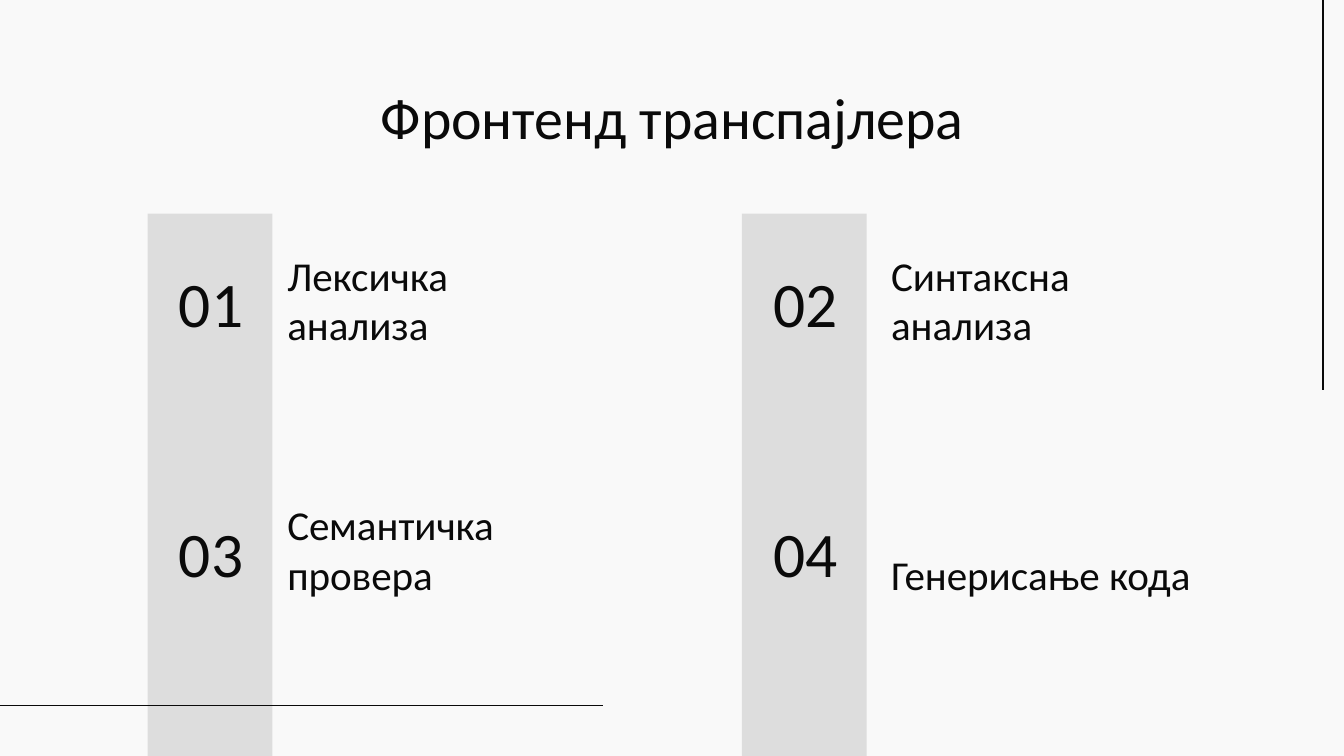
"""Build the slide that lists the four stages of the transpiler front end."""
import pptx
import pptx.dml.color
import pptx.enum.shapes
import pptx.enum.text
import pptx.oxml
import pptx.oxml.ns
import pptx.util

Cm = pptx.util.Cm
Align = pptx.enum.text.PP_ALIGN
Anchor = pptx.enum.text.MSO_ANCHOR

TITLE = "Фронтенд транспајлера"
STAGES = [
    ["Лексичка анализа", "Синтаксна анализа"],
    ["Семантичка провера", "Генерисање кода"],
]
COLOURS = {"page": "F9F9F9", "bar": "DDDDDD", "ink": "0A0A0A"}
COLUMNS = [
    {"bar": 2.79, "number": 2.77, "label": 5.18},
    {"bar": 14.02, "number": 14.0, "label": 16.59},
]
ROW_PITCH = 4.72
NUMBER_TOP, LABEL_TOP, BAR_TOP = 4.11, 4.6, 4.04
PAGE_WIDTH, PAGE_HEIGHT = 25.4, 14.29
LINES = [(25, 7.37, 25, 0), (0, 13.33, 11.4, 13.33)]
STYLES = {
    "title": {"size": 31, "align": Align.CENTER, "anchor": Anchor.TOP},
    "number": {"size": 34, "align": Align.CENTER, "anchor": Anchor.MIDDLE},
    "label": {"size": 22, "align": Align.LEFT, "anchor": Anchor.BOTTOM},
}


def colour(name):
    return pptx.dml.color.RGBColor.from_string(COLOURS[name])


def set_all(target, values):
    for name, value in values.items():
        setattr(target, name, value)


def add_bar(page, left):
    bar = page.shapes.add_shape(
        pptx.enum.shapes.MSO_SHAPE.RECTANGLE,
        Cm(left), Cm(BAR_TOP), Cm(2.36), Cm(PAGE_HEIGHT - BAR_TOP))
    bar.shadow.inherit = False
    bar.fill.solid()
    bar.fill.fore_color.rgb = colour("bar")
    bar.line.fill.background()


def add_line(page, ends):
    line = page.shapes.add_connector(
        pptx.enum.shapes.MSO_CONNECTOR.STRAIGHT, *map(Cm, ends))
    line.line.color.rgb = colour("ink")
    line.line.width = pptx.util.Pt(0.75)
    properties = line._element.spPr
    properties.append(pptx.oxml.parse_xml(
        f"<a:effectLst {pptx.oxml.ns.nsdecls('a')}/>"))


def add_text(page, text, place, style):
    box = page.shapes.add_textbox(*map(Cm, place))
    margins = {f"margin_{side}": Cm(0.25) for side in ("left", "top", "right", "bottom")}
    set_all(box.text_frame, {
        "word_wrap": True, "vertical_anchor": style["anchor"], **margins})
    para = box.text_frame.paragraphs[0]
    para.alignment = style["align"]
    span = para.add_run()
    span.text = text
    set_all(span.font, {"name": "Calibri", "size": pptx.util.Pt(style["size"])})
    span.font.color.rgb = colour("ink")


def main():
    deck = pptx.Presentation()
    set_all(deck, {"slide_width": Cm(PAGE_WIDTH), "slide_height": Cm(PAGE_HEIGHT)})
    page = deck.slides.add_slide(deck.slide_layouts[6])
    page.background.fill.solid()
    page.background.fill.fore_color.rgb = colour("page")

    for column in COLUMNS:
        add_bar(page, column["bar"])
    for ends in LINES:
        add_line(page, ends)

    add_text(page, TITLE, (1.98, 1.3, 21.44, 1.52), STYLES["title"])
    for row, labels in enumerate(STAGES):
        shift = row * ROW_PITCH
        for index, (column, label) in enumerate(zip(COLUMNS, labels)):
            number = f"{row * len(COLUMNS) + index + 1:02d}"
            add_text(page, label, (column["label"], LABEL_TOP + shift, 6.35, 2.24),
                     STYLES["label"])
            add_text(page, number, (column["number"], NUMBER_TOP + shift, 2.44, 3.2),
                     STYLES["number"])
    deck.save("out.pptx")


if __name__ == "__main__":
    main()
